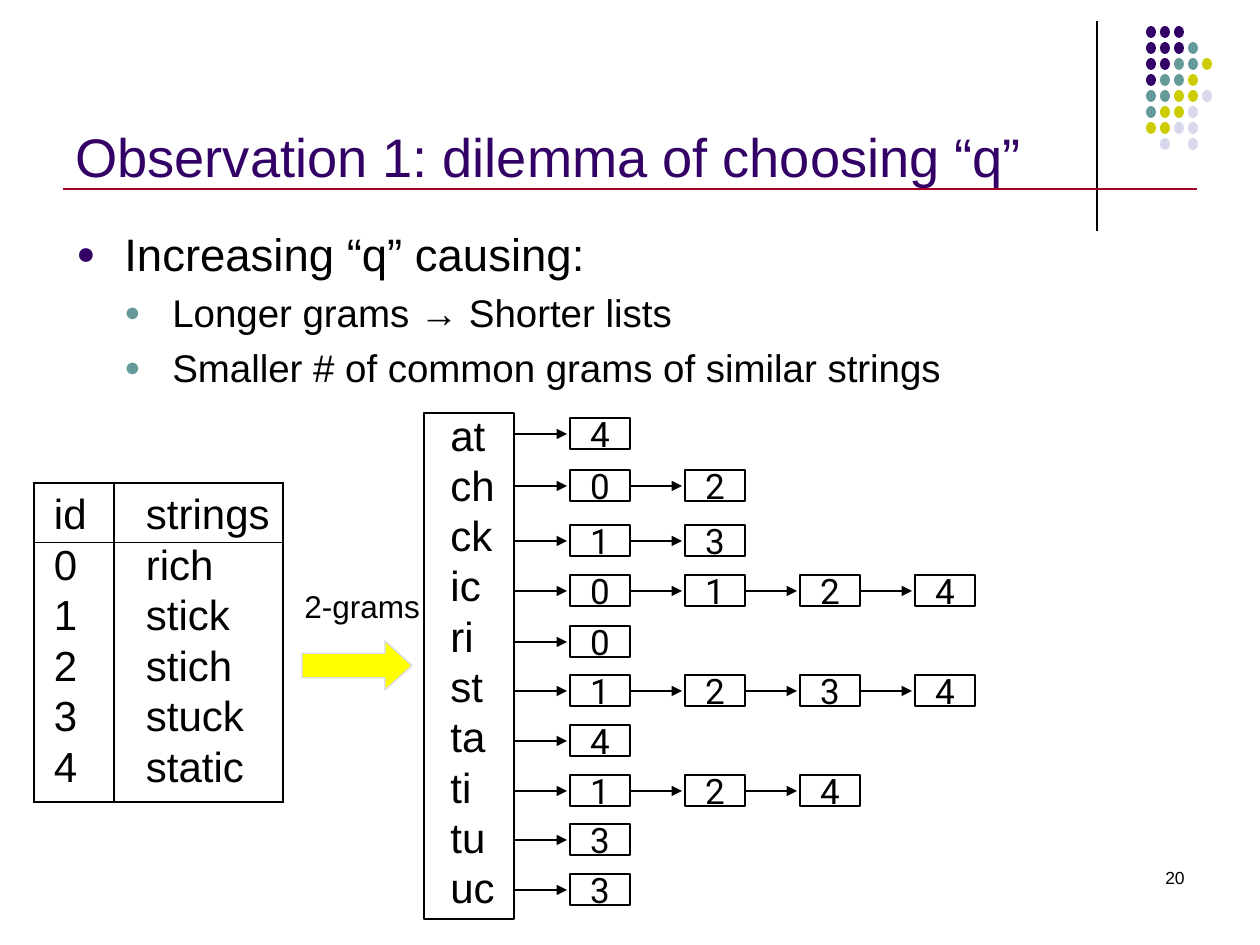
"""Build the slide on the dilemma of choosing q, with its 2-gram lists."""
from lxml.etree import SubElement
from pptx import Presentation
from pptx.dml.color import RGBColor
from pptx.enum.shapes import MSO_CONNECTOR, MSO_SHAPE
from pptx.enum.text import MSO_ANCHOR, PP_ALIGN
from pptx.oxml.ns import qn
from pptx.util import Emu, Pt

BLACK = RGBColor(0x00, 0x00, 0x00)
PURPLE = RGBColor(0x33, 0x00, 0x66)
TEAL = RGBColor(0x66, 0x99, 0x99)
OLIVE = RGBColor(0xCC, 0xCC, 0x00)
PALE = RGBColor(0xD8, 0xD8, 0xEC)
RED = RGBColor(0xA5, 0x00, 0x21)
YELLOW = RGBColor(0xFF, 0xFF, 0x00)

DOTS = ["PPP", "PPPT", "PPTTO", "PTTO", "TTOOL", "TOOL", "OOLL", " L L"]
HUES = {"P": PURPLE, "T": TEAL, "O": OLIVE, "L": PALE}
POINTS = [
    ("Increasing “q” causing:", 26, 48, PURPLE),
    ("Longer grams → Shorter lists", 22, 96, TEAL),
    ("Smaller # of common grams of similar strings", 22, 96, TEAL),
]
ROWS = [("id", "strings"), ("0", "rich"), ("1", "stick"),
        ("2", "stich"), ("3", "stuck"), ("4", "static")]
LISTS = [
    ("at", 418, "4"), ("ch", 470, "02"), ("ck", 525, "13"),
    ("ic", 575, "0124"), ("ri", 626, "0"), ("st", 675, "1234"),
    ("ta", 725, "4"), ("ti", 775, "124"), ("tu", 824, "3"), ("uc", 874, "3"),
]


def px(n):
    return Emu(round(n * 914400 / 126))


def assign(item, **values):
    for key, value in values.items():
        setattr(item, key, value)


class Deck:
    """Hold the style and the current slide, and draw each kind of element."""

    def __init__(self, show, face="Arial", ink=BLACK):
        self.slide = show.slides.add_slide(show.slide_layouts[6])
        self.shapes = self.slide.shapes
        self.face, self.ink = face, ink

    def label(self, para, words, size, hue=None, face=None, **form):
        run = para.add_run()
        run.text = words
        assign(run.font, size=Pt(size), name=face or self.face)
        run.font.color.rgb = hue or self.ink
        assign(para, **form)

    def text(self, box, lines, size, hue=None, wrap=True,
             anchor=MSO_ANCHOR.TOP, **form):
        frame = self.shapes.add_textbox(*map(px, box)).text_frame
        assign(frame, word_wrap=wrap, vertical_anchor=anchor)
        for i, line in enumerate(lines):
            para = frame.add_paragraph() if i else frame.paragraphs[0]
            self.label(para, line, size, hue, **form)

    def points(self, box, items):
        frame = self.shapes.add_textbox(*map(px, box)).text_frame
        assign(frame, word_wrap=True, margin_top=px(12))
        for i, (words, size, left, hue) in enumerate(items):
            para = frame.add_paragraph() if i else frame.paragraphs[0]
            props = para._p.get_or_add_pPr()
            props.set("marL", str(px(left)))
            props.set("indent", str(-px(48)))
            tint = SubElement(props, qn("a:buClr"))
            SubElement(tint, qn("a:srgbClr"), val=str(hue))
            SubElement(props, qn("a:buSzPct"), val="70000")
            SubElement(props, qn("a:buFont"), typeface=self.face)
            SubElement(props, qn("a:buChar"), char="●")
            self.label(para, words, size, level=min(i, 1),
                       space_before=Pt(5 if i else 0))

    def shape(self, kind, box, fill=None, line=None, width=0.75):
        shape = self.shapes.add_shape(kind, *map(px, box))
        shape.shadow.inherit = False
        if fill:
            shape.fill.solid()
            shape.fill.fore_color.rgb = fill
        else:
            shape.fill.background()
        if line is None:
            shape.line.fill.background()
        else:
            shape.line.color.rgb = line
            shape.line.width = Pt(width)
        return shape

    def node(self, box, words):
        frame = self.shape(MSO_SHAPE.RECTANGLE, box, line=self.ink).text_frame
        assign(frame, margin_left=0, margin_right=0, margin_top=0,
               margin_bottom=0, word_wrap=True,
               vertical_anchor=MSO_ANCHOR.MIDDLE)
        self.label(frame.paragraphs[0], words, 20, face="Roboto",
                   alignment=PP_ALIGN.CENTER)

    def line(self, ends, hue=None, head=False):
        link = self.shapes.add_connector(MSO_CONNECTOR.STRAIGHT, *map(px, ends))
        link.line.color.rgb = hue or self.ink
        link.line.width = Pt(0.75)
        if head:
            SubElement(link.get_or_add_ln(), qn("a:tailEnd"), type="triangle")
        SubElement(link.element.spPr, qn("a:effectLst"))

    def edge(self, props, side, width):
        line = SubElement(props, qn(f"a:ln{side}"), w=str(Pt(width)))
        if width:
            fill = SubElement(line, qn("a:solidFill"))
            SubElement(fill, qn("a:srgbClr"), val=str(self.ink))
        else:
            SubElement(line, qn("a:noFill"))

    def table(self, box, rows, wides, highs, pads):
        grid = self.shapes.add_table(len(rows), len(wides), *map(px, box)).table
        assign(grid, first_row=False, horz_banding=False)
        for col, wide in zip(grid.columns, wides):
            col.width = px(wide)
        rules = [1.5, 0.75] + [0] * (len(rows) - 2) + [1.5]
        bars = [1.5, 0.75, 1.5]
        for r, row in enumerate(rows):
            grid.rows[r].height = px(highs[r])
            for c, words in enumerate(row):
                cell = grid.cell(r, c)
                props = cell._tc.get_or_add_tcPr()
                sides = {"L": bars[c], "R": bars[c + 1],
                         "T": rules[r], "B": rules[r + 1]}
                for side, width in sides.items():
                    self.edge(props, side, width)
                cell.fill.background()
                assign(cell, margin_left=px(pads[c]), margin_right=0,
                       margin_top=px(0 if r else 9), margin_bottom=0)
                self.label(cell.text_frame.paragraphs[0], words, 24)


def main():
    show = Presentation()
    assign(show, slide_width=px(1260), slide_height=px(945))
    deck = Deck(show)

    deck.line((1097, 21, 1097, 231))
    for r, row in enumerate(DOTS):
        for c, mark in enumerate(row):
            if mark in HUES:
                box = (1146 + 14 * c, 26 + 16 * r, 10, 12)
                deck.shape(MSO_SHAPE.OVAL, box, HUES[mark])
    deck.text((903, 861, 294, 63), ["20"], 10, alignment=PP_ALIGN.RIGHT)
    deck.text((63, 16, 1040, 179), ["Observation 1: dilemma of choosing “q”"],
              31, PURPLE, anchor=MSO_ANCHOR.BOTTOM)
    deck.points((64, 214, 1134, 607), POINTS)

    deck.table((34, 483, 249, 317), ROWS, (80, 169),
               (59, 50, 50, 50, 50, 58), (20, 32))
    deck.text((292, 581, 141, 50), ["2-grams"], 18, wrap=False)
    arrow = deck.shape(MSO_SHAPE.RIGHT_ARROW, (302, 641, 110, 49), YELLOW, PALE)
    arrow.adjustments[1] = 0.55

    deck.text((438, 403, 70, 515), [gram for gram, *_ in LISTS], 24,
              wrap=False, line_spacing=Pt(28.75))
    deck.shape(MSO_SHAPE.RECTANGLE, (424, 413, 90, 506), line=BLACK, width=1.5)
    for _, top, chain in LISTS:
        for i, num in enumerate(chain):
            left = 570 + 115 * i
            deck.node((left, top, 60, 31), num)
            deck.line((left - 55, top + 16, left - 3, top + 16), head=True)
    deck.line((63, 189, 1197, 189), RED)
    show.save("out.pptx")


if __name__ == "__main__":
    main()
